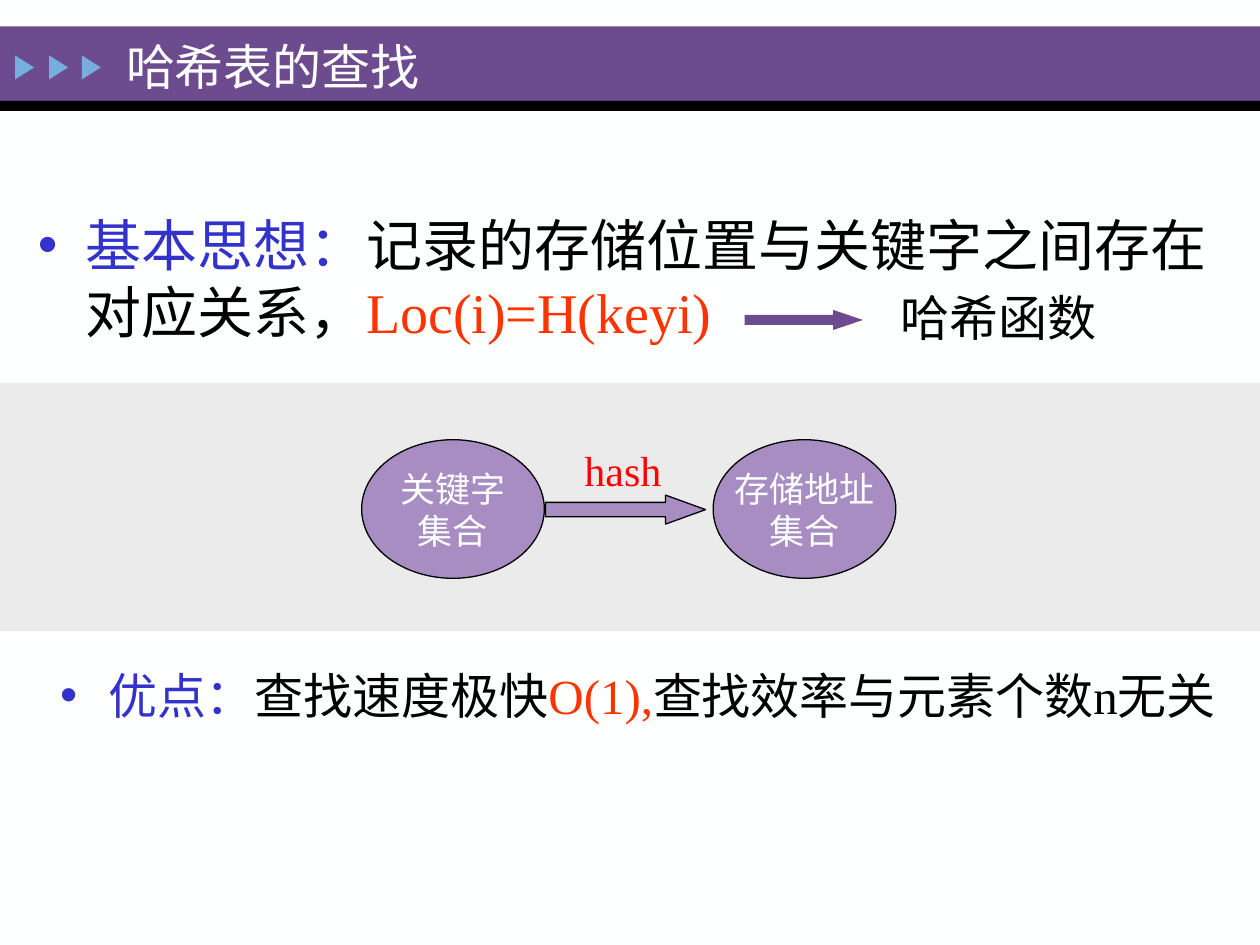
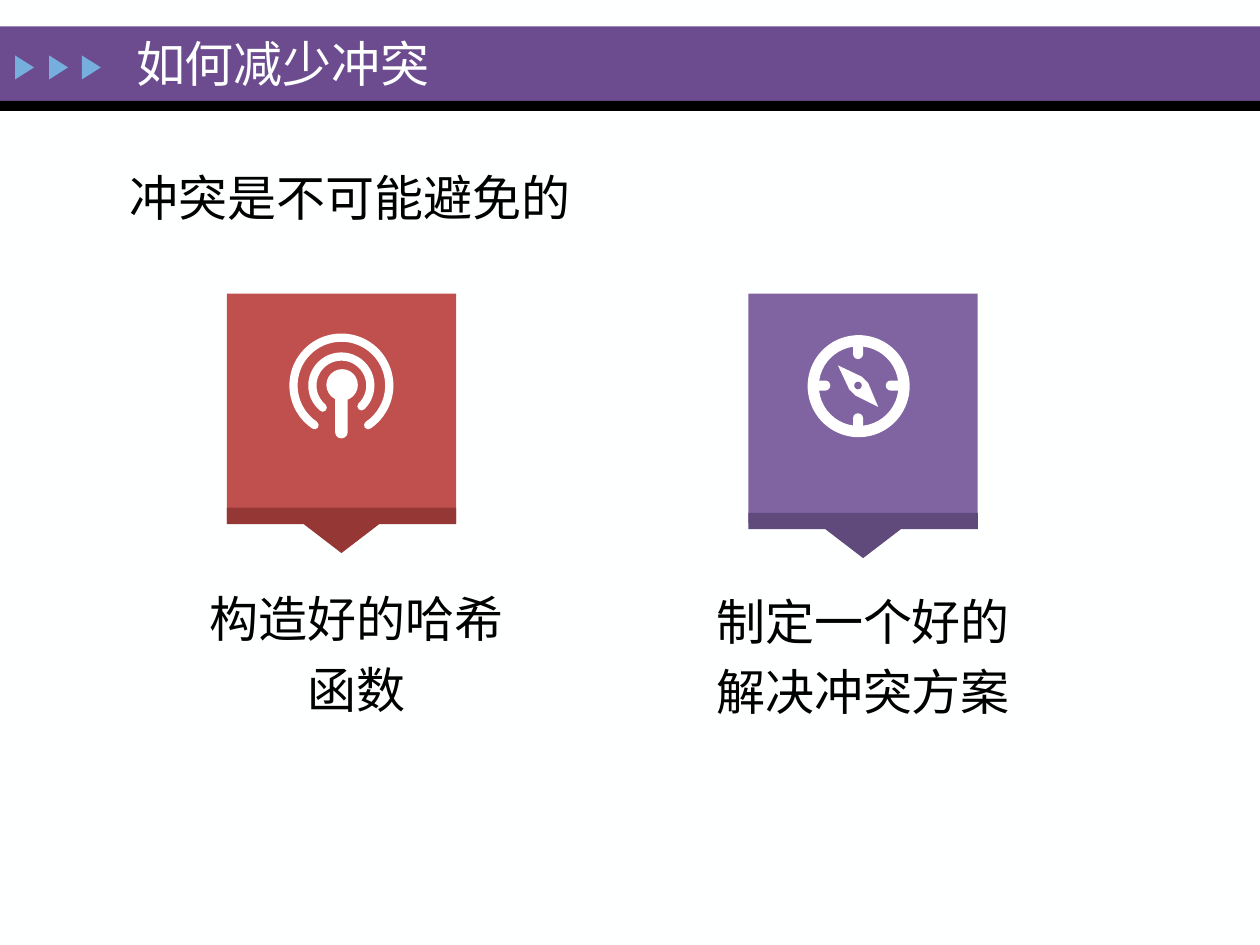
from pptx import Presentation
from pptx.dml.color import RGBColor
from pptx.enum.shapes import MSO_SHAPE as Preset
from pptx.enum.text import MSO_ANCHOR as Anchor, MSO_AUTO_SIZE as AutoSize, PP_ALIGN as Align
from pptx.oxml.ns import qn
from pptx.util import Emu, Pt
from lxml.etree import SubElement

EMU_PER_PX = 9144
FONT = "Times New Roman"
COLORS = {
    "paper": "FEFFFF", "white": "FFFFFF", "black": "000000",
    "band": "6C4C8F", "marker": "76AEDD", "panel": "EBEBEB", "lilac": "A78DC2",
    "blue": "3333CC", "orange": "FF3300", "red": "FF0000",
    "brick": "C0504D", "dark_brick": "953735",
    "violet": "8064A2", "dark_violet": "604A7B",
}


def px(*lengths):
    return [Emu(length * EMU_PER_PX) for length in lengths]


def color(name):
    return RGBColor.from_string(COLORS[name])


def write(frame, paragraphs, size=28, ink="black", align=Align.LEFT, anchor=Anchor.TOP,
          bullet=False, wrap=True, inset=None, spacing=1.0):
    frame.auto_size = AutoSize.NONE
    frame.word_wrap = wrap
    frame.vertical_anchor = anchor
    if inset is not None:
        frame.margin_left, frame.margin_top, frame.margin_right, frame.margin_bottom = px(*[inset] * 4)
    for index, content in enumerate(paragraphs):
        paragraph = frame.add_paragraph() if index else frame.paragraphs[0]
        properties = paragraph._p.get_or_add_pPr()
        hanging = px(38)[0] if bullet else 0
        properties.set("marL", str(hanging))
        properties.set("indent", str(-hanging))
        if bullet:
            SubElement(properties, qn("a:buFont")).set("typeface", "Arial")
            SubElement(properties, qn("a:buChar")).set("char", "•")
        else:
            SubElement(properties, qn("a:buNone"))
        paragraph.alignment = align
        paragraph.space_before = Pt(0)
        paragraph.line_spacing = spacing
        for text, run_ink in [(content, ink)] if isinstance(content, str) else content:
            run = paragraph.add_run()
            run.text = text
            run.font.name = FONT
            run.font.size = Pt(size)
            run.font.color.rgb = color(run_ink)


class Deck:
    def __init__(self):
        self.presentation = Presentation()
        self.presentation.slide_width, self.presentation.slide_height = px(1000, 750)
        self.layout = self.presentation.slide_layouts[1]
        for footer in list(self.layout.placeholders)[2:]:
            footer.element.getparent().remove(footer.element)
        background = self.presentation.slide_master.background.fill
        background.solid()
        background.fore_color.rgb = color("paper")
        self.slide = None

    def start_slide(self):
        self.slide = self.presentation.slides.add_slide(self.layout)

    def placeholder(self, index, box, paragraphs, **style):
        holder = self.slide.placeholders[index]
        holder.left, holder.top, holder.width, holder.height = px(*box)
        write(holder.text_frame, paragraphs, **style)

    def title(self, box, text):
        self.placeholder(0, box, [text], ink="paper", anchor=Anchor.MIDDLE)

    def body(self, box, paragraphs, **style):
        self.placeholder(1, box, paragraphs, **style)

    def text(self, box, paragraphs, **style):
        write(self.slide.shapes.add_textbox(*px(*box)).text_frame, paragraphs, **style)

    def paint(self, shape, fill, line=None):
        shape.shadow.inherit = False
        shape.fill.solid()
        shape.fill.fore_color.rgb = color(fill)
        if line:
            shape.line.color.rgb = color(line)
            shape.line.width = Pt(0.75)
        else:
            shape.line.fill.background()
        return shape

    def shape(self, preset, box, fill, line=None, adjust=()):
        shape = self.slide.shapes.add_shape(preset, *px(*box))
        for index, value in enumerate(adjust):
            shape.adjustments[index] = value
        return self.paint(shape, fill, line)

    def outline(self, points, fill):
        builder = self.slide.shapes.build_freeform(*points[0], scale=EMU_PER_PX)
        builder.add_line_segments(points[1:], close=True)
        self.paint(builder.convert_to_shape(), fill)

    def arc(self, center_x, center_y, radius, start, end):
        box = (center_x - radius, center_y - radius, 2 * radius, 2 * radius)
        wave = self.shape(Preset.ARC, box, "white", adjust=(start * 0.6, end * 0.6))
        wave.fill.background()
        wave.line.color.rgb = color("white")
        wave.line.width = Pt(4.7)
        wave.line._get_or_add_ln().set("cap", "rnd")

    def share_header(self):
        header = [self.shape(Preset.RECTANGLE, (0, 21, 1000, 59), "band"),
                  self.shape(Preset.RECTANGLE, (0, 80, 1000, 8), "black")]
        for left in (10, 37, 63):
            marker = self.shape(Preset.ISOSCELES_TRIANGLE, (left, 46, 19, 15), "marker")
            marker.rotation = 90
            header.append(marker)
        for part in header:
            self.layout.shapes.element.append(part.element)

    def tile(self, left, fold, fill, fold_fill):
        side, middle = 182, left + 91
        right = left + side
        self.shape(Preset.RECTANGLE, (left, 233, side, side), fill)
        self.outline([(left, fold), (right, fold), (right, fold + 13), (middle + 30, fold + 13),
                      (middle, fold + 36), (middle - 30, fold + 13), (left, fold + 13)], fold_fill)

    def caption(self, box, text):
        self.text(box, [text], align=Align.CENTER, inset=0, spacing=1.2)

    def broadcast_icon(self, x, y):
        self.arc(x, y, 38, 124, 56)
        self.arc(x, y, 23, 130, 46)
        self.shape(Preset.OVAL, (x - 12, y - 13, 25, 25), "white")
        self.shape(Preset.ROUNDED_RECTANGLE, (x - 5, y - 1, 10, 43), "white", adjust=(0.5,))

    def compass_icon(self, x, y):
        self.shape(Preset.DONUT, (x - 40, y - 40, 81, 81), "white", adjust=(0.11,))
        for tick in ((x - 4, y - 36, 8, 15), (x - 4, y + 22, 8, 15),
                     (x - 36, y - 4, 14, 8), (x + 22, y - 4, 14, 8)):
            self.shape(Preset.ROUNDED_RECTANGLE, tick, "white", adjust=(0.5,))
        needle = [(-16, -16), (3, -7), (8, -2), (16, 17), (-2, 8), (-7, 3)]
        self.outline([(x + dx, y + dy) for dx, dy in needle], "white")
        self.shape(Preset.OVAL, (x - 3, y - 3, 6, 6), "violet")


def build_lookup(deck):
    deck.start_slide()
    deck.share_header()
    deck.title((90, 15, 673, 75), "哈希表的查找")
    deck.body((20, 162, 965, 142), [[("基本思想：", "blue"),
                                    ("记录的存储位置与关键字之间存在对应关系，", "black"),
                                    ("Loc(i)=H(keyi)", "orange")]], size=32, bullet=True)
    deck.shape(Preset.RIGHT_ARROW, (591, 246, 94, 16), "band", adjust=(0.5, 1.49))
    deck.text((705, 223, 181, 57), ["哈希函数"])

    deck.shape(Preset.RECTANGLE, (0, 304, 1000, 197), "panel")
    for left, set_name in ((287, "关键字"), (566, "存储地址")):
        ellipse = deck.shape(Preset.OVAL, (left, 349, 145, 110), "lilac", "black")
        write(ellipse.text_frame, [set_name, "集合"], size=20, ink="paper",
              align=Align.CENTER, anchor=Anchor.MIDDLE, wrap=False)
    deck.shape(Preset.RIGHT_ARROW, (433, 393, 127, 23), "lilac", "black", (0.5, 1.38))
    deck.text((454, 348, 82, 51), ["hash"], size=24, ink="red", wrap=False)

    deck.text((38, 523, 946, 57), [[("优点：", "blue"), ("查找速度极快", "black"), ("O(1),", "orange"),
                                   ("查找效率与元素个数n无关", "black")]], bullet=True)


def build_collisions(deck):
    deck.start_slide()
    deck.title((98, 22, 378, 56), "如何减少冲突")
    deck.body((93, 121, 386, 71), ["冲突是不可能避免的"], anchor=Anchor.MIDDLE)
    deck.tile(594, 407, "violet", "dark_violet")
    deck.compass_icon(681, 306)
    deck.caption((563, 460, 244, 51), "制定一个好的解决冲突方案")
    deck.tile(180, 403, "brick", "dark_brick")
    deck.broadcast_icon(271, 306)
    deck.caption((149, 458, 268, 51), "构造好的哈希函数")


def main():
    deck = Deck()
    build_lookup(deck)
    build_collisions(deck)
    deck.presentation.save("out.pptx")


if __name__ == "__main__":
    main()
